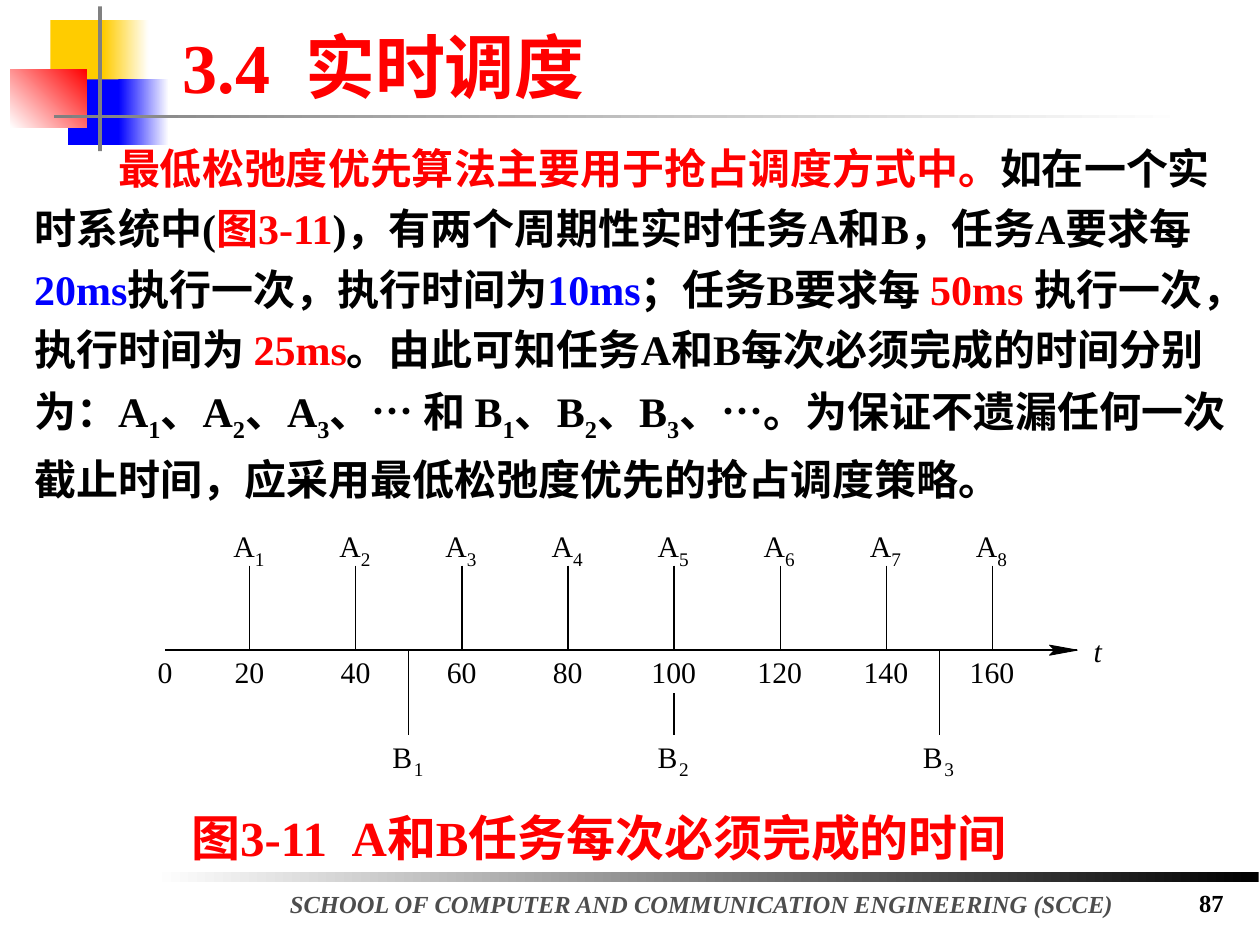
import dataclasses

import pptx
import pptx.dml.color
import pptx.enum.lang
import pptx.enum.shapes
import pptx.enum.text
import pptx.oxml
import pptx.oxml.ns
import pptx.util

Inches = pptx.util.Inches
Align = pptx.enum.text.PP_ALIGN


@dataclasses.dataclass(frozen=True)
class Theme:
    font: str = "Times New Roman"
    black: str = "000000"
    white: str = "FFFFFF"
    red: str = "FF0000"
    blue: str = "0000FF"
    yellow: str = "FFCC00"
    grey: str = "808080"
    dark_grey: str = "4D4D4D"
    title: float = 40
    caption: float = 28
    body: float = 24
    label: float = 17
    footer: float = 14
    index: float = 11
    thin_line: float = 0.75


THEME = Theme()


def rgb(colour):
    return pptx.dml.color.RGBColor.from_string(colour)


def write_text(box, spans, size=THEME.label, colour=THEME.black, bold=False,
               italic=False, align=Align.LEFT, margins=(0.1, 0.05), wrap=False):
    """Fill a box with spans: plain strings or (text, format) pairs."""
    frame = box.text_frame
    frame.word_wrap = wrap
    frame.auto_size = pptx.enum.text.MSO_AUTO_SIZE.NONE
    frame.vertical_anchor = pptx.enum.text.MSO_ANCHOR.TOP
    frame.margin_left = frame.margin_right = Inches(margins[0])
    frame.margin_top = frame.margin_bottom = Inches(margins[1])
    para = frame.paragraphs[0]
    para.alignment = align
    for item in [spans] if isinstance(spans, str) else spans:
        text, extra = (item, {}) if isinstance(item, str) else item
        span = para.add_run()
        span.text = text
        font = span.font
        font.name, font.size = THEME.font, pptx.util.Pt(size)
        font.bold, font.italic = bold, italic
        font.color.rgb = rgb(extra.get("colour", colour))
        font.language_id = pptx.enum.lang.MSO_LANGUAGE_ID.SIMPLIFIED_CHINESE
        if "baseline" in extra:
            span._r.get_or_add_rPr().set("baseline", str(extra["baseline"]))
    return para


def place(box, left, top, width, height):
    box.left, box.top = Inches(left), Inches(top)
    box.width, box.height = Inches(width), Inches(height)


def add_text(shapes, area, spans, **style):
    box = shapes.add_textbox(*map(Inches, area))
    return write_text(box, spans, **style)


def add_block(shapes, area, colour, fade_to=None, angle=0):
    """Add a borderless rectangle, solid or fading to a second colour."""
    kind = pptx.enum.shapes.MSO_SHAPE.RECTANGLE
    block = shapes.add_shape(kind, *map(Inches, area))
    block.shadow.inherit = False
    block.line.fill.background()
    if fade_to is None:
        block.fill.solid()
        block.fill.fore_color.rgb = rgb(colour)
        return
    block.fill.gradient()
    block.fill.gradient_angle = angle
    for stop, position, shade in zip(block.fill.gradient_stops, (0, 1), (colour, fade_to)):
        stop.position = position
        stop.color.rgb = rgb(shade)


def add_line(shapes, start, end):
    kind = pptx.enum.shapes.MSO_CONNECTOR.STRAIGHT
    line = shapes.add_connector(kind, *map(Inches, (*start, *end)))
    line.line.color.rgb = rgb(THEME.black)
    line.line.width = pptx.util.Pt(THEME.thin_line)
    line._element.spPr.append(pptx.oxml.parse_xml(
        "<a:effectLst %s/>" % pptx.oxml.ns.nsdecls("a")))


def build_ornament(page, left, top):
    """Coloured squares with crossing rules in the top corner."""
    for area, colour, fade, angle in (
            ((0.32, 0.11, 0.48, 0.52), THEME.yellow, None, 0),
            ((0.74, 0.11, 0.36, 0.52), THEME.yellow, THEME.white, 0),
            ((0.46, 0.58, 0.46, 0.52), THEME.blue, None, 0),
            ((0.86, 0.58, 0.4, 0.52), THEME.blue, THEME.white, 0),
            ((0, 0.5, 0.61, 0.46), THEME.red, THEME.white, 225),
            ((0.7, 0, 0.03, 1.15), THEME.grey, None, 0),
            ((0.35, 0.86, 9, 0.03), THEME.grey, THEME.white, 0)):
        x, y, width, height = area
        add_block(page.shapes, (left + x, top + y, width, height), colour, fade, angle)


def build_title(page, *area):
    title = page.shapes.title
    place(title, *area)
    write_text(title, "3.4  实时调度", size=THEME.title, colour=THEME.red, bold=True)


def build_body(page, *area):
    red, blue, lowered = {"colour": THEME.red}, {"colour": THEME.blue}, {"baseline": -25000}

    def series(letter):
        """Letter with lowered indices 1 to 3, joined by list commas."""
        return [part for number in "123" for part in
                (("" if number == "1" else "、") + letter, (number, lowered))]

    body = page.placeholders[1]
    place(body, *area)
    para = write_text(body, [
        ("最低松弛度优先算法主要用于抢占调度方式中。", red), "如在一个实时系统中(",
        ("图3-11", red), ")，有两个周期性实时任务A和B，任务A要求每",
        ("20ms", blue), "执行一次，执行时间为", ("10ms", blue),
        "；任务B要求每 ", ("50ms ", red), "执行一次，执行时间为 ", ("25ms", red),
        "。由此可知任务A和B每次必须完成的时间分别为：", *series("A"),
        "、… 和 ", *series("B"),
        "、…。为保证不遗漏任何一次截止时间，应采用最低松弛度优先的抢占调度策略。",
    ], size=THEME.body, bold=True, wrap=True)
    para.line_spacing = 1.2
    para.space_before = pptx.util.Pt(0)
    # First line indented by two characters, no bullet
    properties = para._p.get_or_add_pPr()
    properties.set("marL", "0")
    properties.set("indent", str(pptx.util.Pt(2 * THEME.body)))
    properties.append(pptx.oxml.parse_xml("<a:buNone %s/>" % pptx.oxml.ns.nsdecls("a")))


def build_timeline(page, left, top, width):
    """Deadlines of task A above the time axis and of task B below it."""
    shapes = page.shapes.add_group_shape().shapes
    axis, right, flat = top + 0.97, left + width, (0, 0)

    def position(time):
        return left - 0.17 + time * 0.0421

    def add_label(x, y, letter, number):
        add_text(shapes, (x - 0.13, y, 0.17, 0.28), letter, margins=flat)
        add_text(shapes, (x + 0.04, y + 0.15, 0.08, 0.18), str(number),
                 size=THEME.index, margins=flat)

    def add_time(x, time):
        span = 0.12 * len(str(time))
        add_text(shapes, (x - span / 2, axis + 0.03, span, 0.28), str(time), margins=flat)

    # Task A: every 20 ms
    for number in range(1, 9):
        x = position(20 * number)
        add_label(x, top, "A", number)
        add_line(shapes, (x, axis - 0.67), (x, axis))
        add_time(x, 20 * number)
    # Task B: every 50 ms, the middle mark starts below its time label
    for number in range(1, 4):
        x = position(50 * number)
        add_line(shapes, (x, axis + (0.34 if number == 2 else 0)), (x, axis + 0.67))
        add_label(x, axis + 0.7, "B", number)
    # Axis with barbed arrowhead
    add_line(shapes, (left, axis), (right, axis))
    outline = [(right - 0.22, axis - 0.04), (right - 0.18, axis),
               (right - 0.22, axis + 0.04), (right, axis)]
    points = [tuple(map(Inches, point)) for point in outline]
    builder = shapes.build_freeform(*points[0])
    builder.add_line_segments(points[1:], close=True)
    arrow = builder.convert_to_shape()
    arrow.shadow.inherit = False
    arrow.fill.solid()
    arrow.fill.fore_color.rgb = arrow.line.color.rgb = rgb(THEME.black)
    arrow.line.width = pptx.util.Pt(0.5)
    add_text(shapes, (right + 0.13, axis - 0.14, 0.07, 0.28), "t", italic=True, margins=flat)
    add_time(left, 0)


def build_footer(page, left, top, width):
    add_block(page.shapes, (left, top, width, 0.08), THEME.black, THEME.white, 180)
    add_text(page.shapes, (left + 0.81, top + 0.09, 7.08, 0.33),
             "SCHOOL OF COMPUTER AND COMMUNICATION ENGINEERING (SCCE)", size=THEME.footer,
             colour=THEME.dark_grey, bold=True, italic=True, align=Align.CENTER, wrap=True)
    add_text(page.shapes, (left + 7.4, top + 0.08, 1.19, 0.35), "87",
             size=THEME.footer, bold=True, align=Align.RIGHT, wrap=True)


def main():
    deck = pptx.Presentation()
    deck.slide_width, deck.slide_height = Inches(10), Inches(7.5)
    page = deck.slides.add_slide(deck.slide_layouts[1])
    build_ornament(page, 0.08, 0.05)
    build_title(page, 1.35, 0.14, 3.62, 0.77)
    build_body(page, 0.17, 1, 9.67, 3.61)
    build_timeline(page, 1.31, 4.19, 7.24)
    add_text(page.shapes, (1.42, 6.36, 7.15, 0.57), "图3-11  A和B任务每次必须完成的时间",
             size=THEME.caption, colour=THEME.red, bold=True)
    build_footer(page, 1.22, 6.92, 8.77)
    deck.save("out.pptx")


if __name__ == "__main__":
    main()
